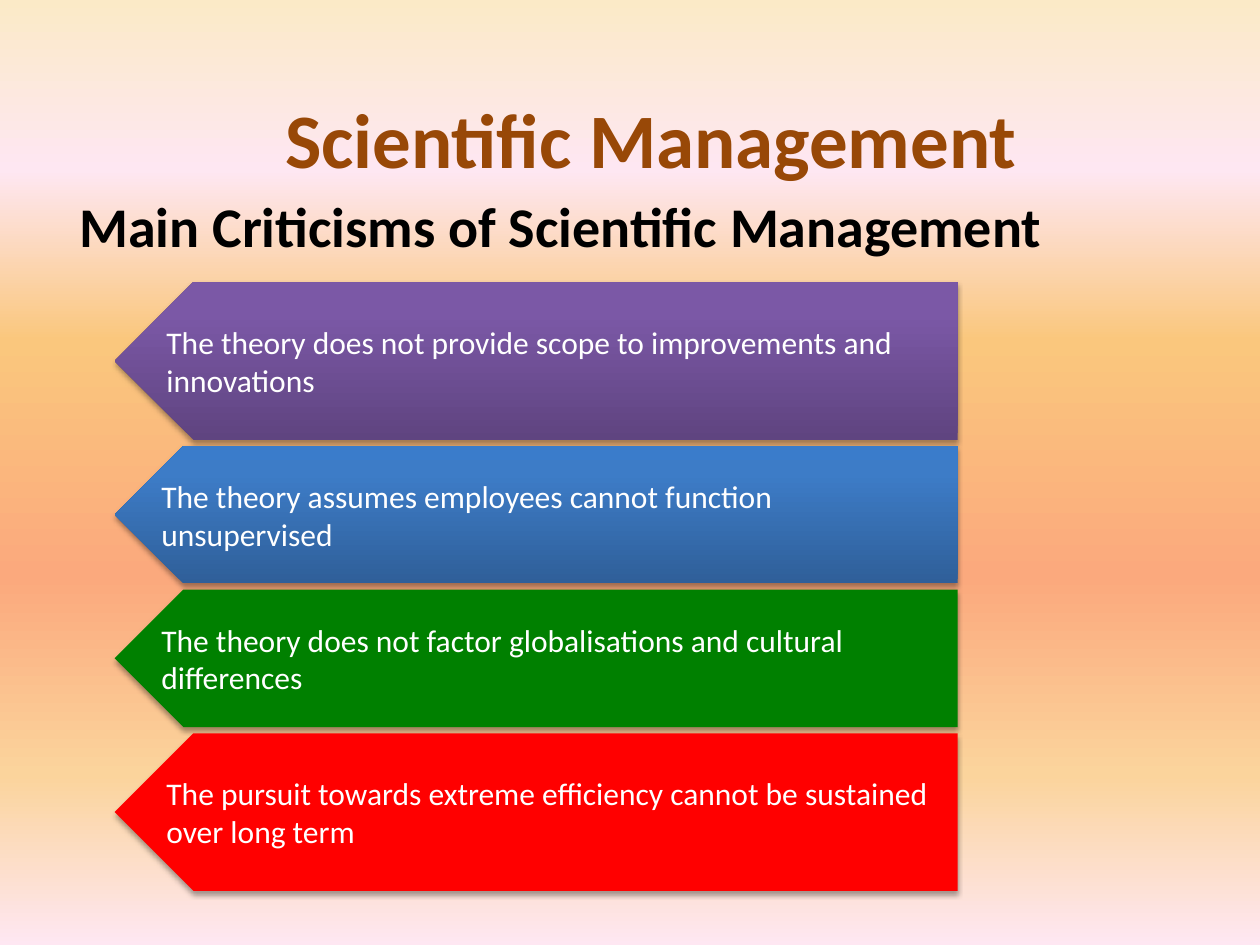
from lxml import etree
from pptx import Presentation, util as u
from pptx.dml.color import RGBColor
from pptx.enum import shapes, text
from pptx.oxml.ns import qn

FONT = "Calibri"
COLORS = {"title": "984807", "heading": "000000", "label": "FFFFFF",
          "shadow": "000000", "green": "008000", "red": "FF0000"}
SUNSET = [(0, "FBEAC7"), (18, "FEE7F2"), (36, "FAC77D"),
          (61, "FBA97D"), (82, "FBD49C"), (100, "FEE7F2")]
PURPLE = [(0, "5F4480"), (80, "7B58A6"), (100, "7C57A8")]
BLUE = [(0, "2F5F99"), (80, "3D7CC7"), (100, "3A7CCB")]

TITLE = "Scientific Management"
HEADING = "Main Criticisms of Scientific Management"
TALL, SHORT = 1.25, 1.09
CRITICISMS = [
    ("The theory does not provide scope to improvements and innovations", TALL, PURPLE),
    ("The theory assumes employees cannot function unsupervised", SHORT, BLUE),
    ("The theory does not factor globalisations and cultural differences", SHORT, COLORS["green"]),
    ("The pursuit towards extreme efficiency cannot be sustained over long term", TALL, COLORS["red"]),
]
ARROW_LEFT, ARROW_TOP, ARROW_WIDTH, GAP = 0.91, 2.24, 6.69, 0.05


def place(shape, left, top, width, height):
    shape.left, shape.top = u.Inches(left), u.Inches(top)
    shape.width, shape.height = u.Inches(width), u.Inches(height)


def write(shape, words, size, color, align, anchor, bold=False):
    frame = shape.text_frame
    frame.text = words
    frame.word_wrap = True
    frame.vertical_anchor = anchor
    para = frame.paragraphs[0]
    para.alignment = align
    para.space_before = u.Pt(0)
    font = para.runs[0].font
    font.name, font.size, font.bold = FONT, u.Pt(size), bold
    font.color.rgb = RGBColor.from_string(color)
    return para


def fill_gradient(fill, element, stops, angle):
    """Fill with any number of stops; angle is counter-clockwise degrees."""
    fill.gradient()
    fill.gradient_angle = angle
    stop_list = next(element.iter(qn("a:gsLst")))
    for stop in list(stop_list):
        stop_list.remove(stop)
    for percent, color in stops:
        stop = etree.SubElement(stop_list, qn("a:gs"), pos=str(percent * 1000))
        etree.SubElement(stop, qn("a:srgbClr"), val=color)


def add_shadow(shape):
    shape.shadow.inherit = False
    effects = shape._element.spPr.find(qn("a:effectLst"))
    shadow = etree.SubElement(effects, qn("a:outerShdw"), blurRad=str(u.Pt(3.1)),
                              dist=str(u.Pt(1.8)), dir="5400000", rotWithShape="0")
    color = etree.SubElement(shadow, qn("a:srgbClr"), val=COLORS["shadow"])
    etree.SubElement(color, qn("a:alpha"), val="35000")


def add_arrow(slide, words, top, height, paint):
    arrow = slide.shapes.add_shape(shapes.MSO_SHAPE.PENTAGON, 0, 0, 0, 0)
    place(arrow, ARROW_LEFT, top, ARROW_WIDTH, height)
    arrow._element.spPr.find(qn("a:xfrm")).set("flipH", "1")
    if isinstance(paint, str):
        arrow.fill.solid()
        arrow.fill.fore_color.rgb = RGBColor.from_string(paint)
    else:
        fill_gradient(arrow.fill, arrow._element, paint, 90)
    arrow.line.fill.background()
    add_shadow(arrow)
    write(arrow, words, 18, COLORS["label"], text.PP_ALIGN.LEFT, text.MSO_ANCHOR.MIDDLE)


def main():
    deck = Presentation()
    deck.slide_width, deck.slide_height = u.Inches(10), u.Inches(7.5)
    slide = deck.slides.add_slide(deck.slide_layouts[1])
    fill_gradient(slide.background.fill, slide._element, SUNSET, 270)

    title, body = slide.shapes.title, slide.placeholders[1]
    place(title, 0.67, 0.47, 9, 1.25)
    write(title, TITLE, 44, COLORS["title"], text.PP_ALIGN.CENTER,
          text.MSO_ANCHOR.MIDDLE, bold=True)
    place(body, 0.53, 1.47, 9, 4.95)
    heading = write(body, HEADING, 32, COLORS["heading"], text.PP_ALIGN.LEFT,
                    text.MSO_ANCHOR.TOP, bold=True)
    properties = heading._p.get_or_add_pPr()
    properties.set("marL", "0")
    properties.set("indent", "0")
    etree.SubElement(properties, qn("a:buNone"))

    top = ARROW_TOP
    for words, height, paint in CRITICISMS:
        add_arrow(slide, words, top, height, paint)
        top += height + GAP

    deck.save("out.pptx")


if __name__ == "__main__":
    main()
